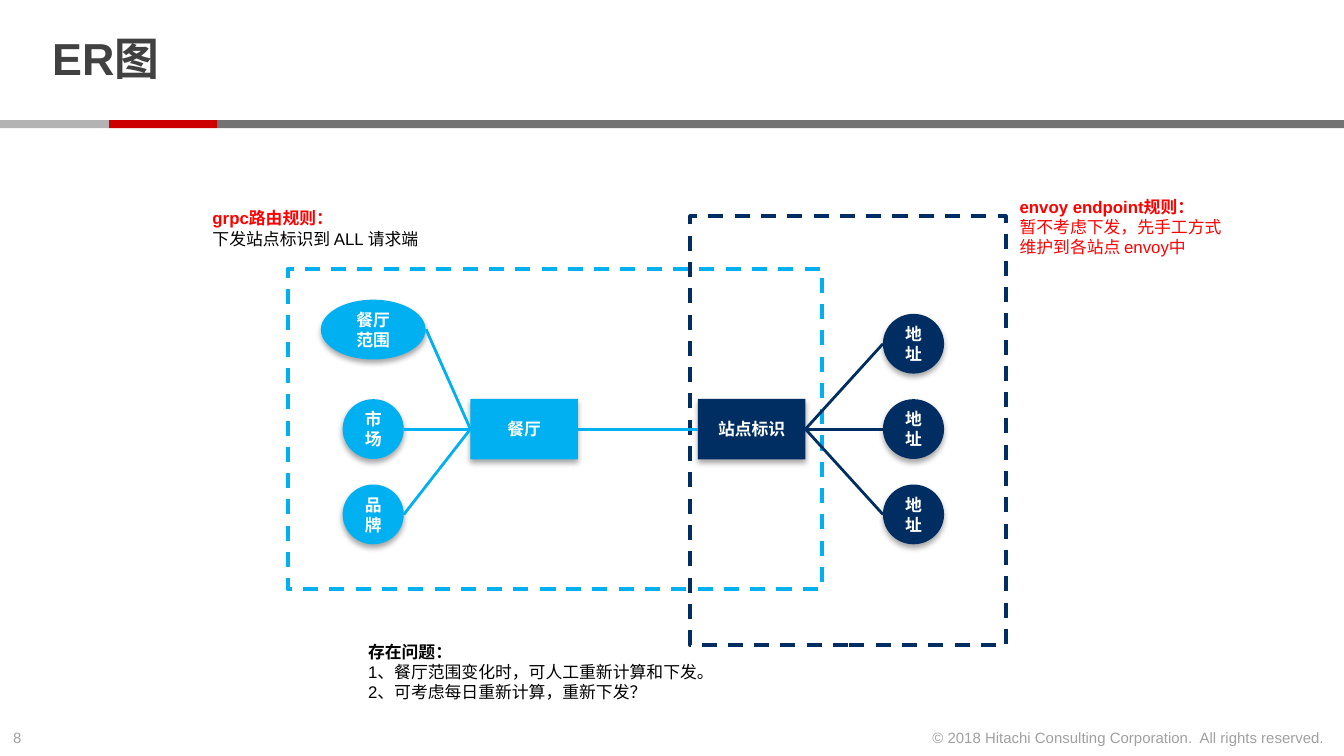
from lxml.etree import SubElement
from pptx import Presentation
from pptx.dml.color import RGBColor
from pptx.enum.dml import MSO_LINE
from pptx.enum.shapes import MSO_CONNECTOR, MSO_SHAPE
from pptx.enum.text import MSO_ANCHOR, PP_ALIGN
from pptx.oxml import parse_xml
from pptx.oxml.ns import nsdecls, qn
from pptx.util import Inches, Pt

RED = RGBColor(0xFF, 0x00, 0x00)
BLACK = RGBColor(0x00, 0x00, 0x00)
WHITE = RGBColor(0xFF, 0xFF, 0xFF)
CYAN = RGBColor(0x00, 0xB0, 0xF0)
NAVY = RGBColor(0x00, 0x2E, 0x62)
CHARCOAL = RGBColor(0x41, 0x41, 0x41)
FOOTER_GREY = RGBColor(0xA0, 0xA0, 0xA0)
BAR_DARK = RGBColor(0x73, 0x73, 0x73)
BAR_RED = RGBColor(0xCC, 0x00, 0x00)
BAR_LIGHT = RGBColor(0xB3, 0xB3, 0xB3)
CHINESE_FONT = "Noto Sans CJK SC"

deck = Presentation()
deck.slide_width = Inches(10)
deck.slide_height = deck.slide_width * 9 // 16
page = deck.slides.add_slide(deck.slide_layouts[6])
UNIT = deck.slide_width / 100


def grid(*lengths):
    return [round(length * UNIT) for length in lengths]


def write(shape, *lines, size=9, font="Arial", color=BLACK, head_color=None,
          bold=False, align=PP_ALIGN.LEFT, anchor=MSO_ANCHOR.TOP,
          wrap=True, spacing=None):
    frame = shape.text_frame
    frame.word_wrap = wrap
    frame.vertical_anchor = anchor
    for index, line in enumerate(lines):
        para = frame.paragraphs[0] if index == 0 else frame.add_paragraph()
        para.alignment = align
        if spacing:
            para.line_spacing = spacing
        span = para.add_run()
        span.text = line
        is_head = index == 0 and head_color is not None
        span.font.size = Pt(size)
        span.font.name = font
        span.font.bold = bold or is_head
        span.font.color.rgb = head_color if is_head else color
        SubElement(span.font._element, qn("a:ea"), typeface=CHINESE_FONT)


for left, width, color in ((16.2, 83.8, BAR_DARK), (8.1, 8.1, BAR_RED), (0, 8.1, BAR_LIGHT)):
    bar = page.shapes.add_shape(MSO_SHAPE.RECTANGLE, *grid(left, 8.95, width, 0.6))
    bar.shadow.inherit = False
    bar.fill.solid()
    bar.fill.fore_color.rgb = color
    bar.line.fill.background()

for place, color in (((51.35, 16.1, 23.5, 31.9), NAVY), ((21.4, 20, 39.75, 23.85), CYAN)):
    region = page.shapes.add_shape(MSO_SHAPE.RECTANGLE, *grid(*place))
    region.shadow.inherit = False
    region.fill.background()
    region.line.color.rgb = color
    region.line.width = Pt(2)
    region.line.dash_style = MSO_LINE.DASH

title = page.shapes.add_textbox(*grid(2.9, 0.6, 77.1, 8))
title.text_frame.margin_top = title.text_frame.margin_bottom = 0
write(title, "ER图", size=24, color=CHARCOAL, bold=True, anchor=MSO_ANCHOR.MIDDLE, spacing=0.85)

MIDDLE = 31.93
STEP = 6.35
CIRCLE = MSO_SHAPE.FLOWCHART_CONNECTOR
ENTITY = MSO_SHAPE.RECTANGLE
nodes = [
    ("餐厅范围", CIRCLE, 27.77, 24.53, 7.8, 4.45, CYAN),
    ("市场", CIRCLE, 27.77, MIDDLE, 4.55, 4.45, CYAN),
    ("品牌", CIRCLE, 27.77, MIDDLE + STEP, 4.55, 4.45, CYAN),
    ("餐厅", ENTITY, 39, MIDDLE, 8, 4.5, CYAN),
    ("站点标识", ENTITY, 55.93, MIDDLE, 8, 4.5, NAVY),
]
nodes += [("地址", CIRCLE, 67.97, MIDDLE + STEP * offset, 4.55, 4.45, NAVY) for offset in (-1, 0, 1)]

for text, preset, center, middle, width, height, color in nodes:
    node = page.shapes.add_shape(
        preset, *grid(center - width / 2, middle - height / 2, width, height))
    node.shadow.inherit = False
    node.fill.solid()
    node.fill.fore_color.rgb = color
    node.line.fill.background()
    effects = node._element.spPr.find(qn("a:effectLst"))
    effects.append(parse_xml(
        f'<a:outerShdw {nsdecls("a")} blurRad="{Pt(3.1)}" dist="{Pt(1.8)}" dir="5400000" '
        'rotWithShape="0"><a:srgbClr val="000000"><a:alpha val="35000"/></a:srgbClr></a:outerShdw>'))
    write(node, text, font=CHINESE_FONT, color=WHITE, bold=True,
          align=PP_ALIGN.CENTER, anchor=MSO_ANCHOR.MIDDLE)

links = [
    (31.7, 24.5, 35, MIDDLE, CYAN),
    (30.05, MIDDLE, 35, MIDDLE, CYAN),
    (30.05, MIDDLE + STEP, 35, MIDDLE, CYAN),
    (43, MIDDLE, 51.93, MIDDLE, CYAN),
]
links += [(59.93, MIDDLE, 65.7, MIDDLE + STEP * offset, NAVY) for offset in (-1, 0, 1)]

for *ends, color in links:
    link = page.shapes.add_connector(MSO_CONNECTOR.STRAIGHT, *grid(*ends))
    link.line.color.rgb = color
    link.line.width = Pt(1.5)
    SubElement(link._element.spPr, qn("a:effectLst"))

notes = (
    ((14.83, 15, 17.6, 5.6), RED, BLACK, ("grpc路由规则：", "下发站点标识到 ALL 请求端")),
    ((74.88, 14.13, 17.6, 5.6), RED, RED,
     ("envoy endpoint规则：", "暂不考虑下发，先手工方式维护到各站点 envoy中")),
    ((26.4, 47.23, 41.6, 5.6), BLACK, BLACK,
     ("存在问题：", "1、餐厅范围变化时，可人工重新计算和下发。", "2、可考虑每日重新计算，重新下发？")),
)
for place, head_color, color, lines in notes:
    write(page.shapes.add_textbox(*grid(*place)), *lines, head_color=head_color, color=color)

page_number = page.shapes.add_textbox(*grid(0, 53.75, 3.4, 2.4))
write(page_number, "8", size=8, color=FOOTER_GREY, wrap=False)
copyright_line = page.shapes.add_textbox(*grid(68, 53.75, 31.55, 2.4))
write(copyright_line, "© 2018 Hitachi Consulting Corporation.  All rights reserved.",
      size=8, color=FOOTER_GREY, align=PP_ALIGN.RIGHT, wrap=False)

deck.save("out.pptx")
